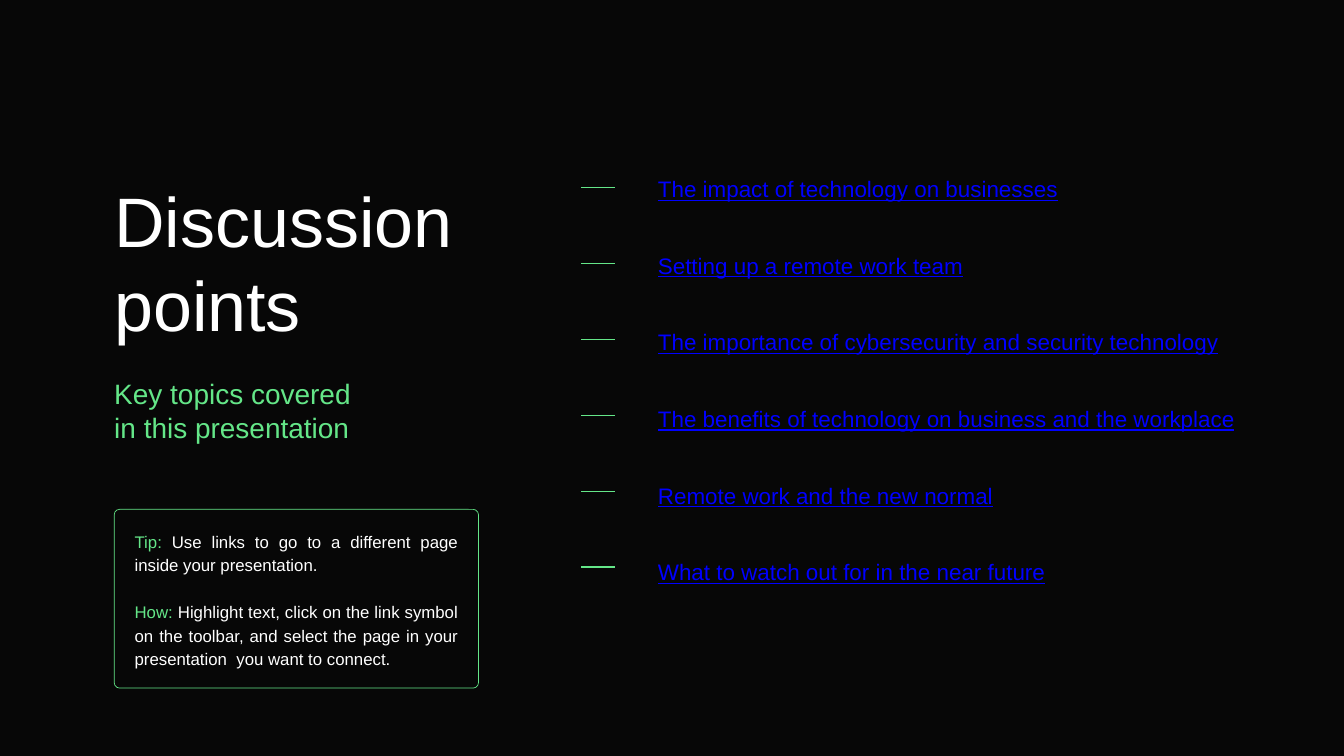
from lxml import etree
from pptx import Presentation
from pptx.dml.color import RGBColor
from pptx.enum.shapes import MSO_CONNECTOR, MSO_SHAPE
from pptx.enum.text import MSO_ANCHOR, MSO_AUTO_SIZE, PP_ALIGN
from pptx.oxml.ns import qn
from pptx.util import Inches, Pt

BLACK, WHITE, GREEN, BLUE = "070707", "FFFFFF", "64E688", "0000FF"
NO_STYLE = "{2D5ABB26-0587-4C30-8999-92F81FD0307C}"
TOPICS = [
    "The impact of technology on businesses",
    "Setting up a remote work team",
    "The importance of cybersecurity and security technology",
    "The benefits of technology on business and the workplace",
    "Remote work and the new normal",
    "What to watch out for in the near future",
]
ADVICE = [
    ("Tip:", " Use links to go to a different page inside your presentation. "),
    ("How: ", "Highlight text, click on the link symbol on the toolbar, and select "
              "the page in your presentation  you want to connect."),
]


def paint(color_format, color):
    color_format.rgb = RGBColor.from_string(color)


def prepare(frame, inset, anchor):
    frame.word_wrap = True
    frame.auto_size = MSO_AUTO_SIZE.NONE
    frame.vertical_anchor = anchor
    frame.margin_left = frame.margin_right = Inches(inset)
    frame.margin_top = frame.margin_bottom = Inches(inset)


def write(paragraph, runs, size, spacing, align=PP_ALIGN.LEFT, underline=False):
    paragraph.alignment = align
    paragraph.line_spacing = Pt(spacing)
    paragraph.space_before = Pt(0)
    for words, color in runs:
        run = paragraph.add_run()
        run.text = words
        run.font.name = "Arial"
        run.font.size = Pt(size)
        run.font.bold = False
        run.font.underline = underline
        paint(run.font.color, color)


def add_heading(placeholder, box, lines, color, size, spacing):
    left, top, width, height = map(Inches, box)
    placeholder.left, placeholder.top = left, top
    placeholder.width, placeholder.height = width, height
    frame = placeholder.text_frame
    prepare(frame, 0, MSO_ANCHOR.TOP)
    for index, line in enumerate(lines):
        paragraph = frame.add_paragraph() if index else frame.paragraphs[0]
        write(paragraph, [(line, color)], size, spacing)


def add_advice(slide, box):
    panel = slide.shapes.add_shape(MSO_SHAPE.ROUNDED_RECTANGLE, *map(Inches, box))
    panel.adjustments[0] = 0.03
    panel.shadow.inherit = False
    panel.fill.background()
    paint(panel.line.color, GREEN)
    panel.line.width = Pt(0.75)
    frame = panel.text_frame
    prepare(frame, 0.28, MSO_ANCHOR.MIDDLE)
    for index, (label, advice) in enumerate(ADVICE):
        paragraph = frame.add_paragraph() if index else frame.paragraphs[0]
        write(paragraph, [(label, GREEN), (advice, WHITE)], 18, 25.2, PP_ALIGN.JUSTIFY)
        if index:
            paragraph.space_before = Pt(25.2)


def add_dash(slide, left, top, length):
    dash = slide.shapes.add_connector(
        MSO_CONNECTOR.STRAIGHT, Inches(left), Inches(top), Inches(left + length), Inches(top))
    paint(dash.line.color, GREEN)
    dash.line.width = Pt(1.5)
    etree.SubElement(dash.element.spPr, qn("a:effectLst"))


def add_topics(slide, box):
    left, top, width, height = box
    for index in range(len(TOPICS)):
        add_dash(slide, left, top + 0.58 + index * 1.13, 0.5)

    table_left = left + 0.93
    topics = slide.shapes.add_table(
        len(TOPICS), 1, Inches(table_left), Inches(top),
        Inches(width - 0.93), Inches(height)).table
    topics.first_row = topics.horz_banding = False
    topics._tbl.tblPr.find(qn("a:tableStyleId")).text = NO_STYLE
    for index, topic in enumerate(TOPICS):
        cell = topics.cell(index, 0)
        cell.fill.background()
        cell.vertical_anchor = MSO_ANCHOR.MIDDLE
        cell.margin_left = cell.margin_right = Inches(0.21)
        cell.margin_top = cell.margin_bottom = Inches(0.21)
        write(cell.text_frame.paragraphs[0], [(topic, BLUE)], 24, 33.6, underline=True)


def main():
    deck = Presentation()
    deck.slide_width, deck.slide_height = Inches(20), Inches(11.25)
    slide = deck.slides.add_slide(deck.slide_layouts[0])
    slide.background.fill.solid()
    paint(slide.background.fill.fore_color, BLACK)

    title, subtitle = slide.placeholders
    add_heading(title, (1.7, 2.64, 6.16, 2.51), ["Discussion points"], WHITE, 75, 90)
    add_heading(subtitle, (1.7, 5.61, 6.16, 1.01),
                ["Key topics covered", "in this presentation"], GREEN, 30, 36)
    add_advice(slide, (1.7, 7.58, 5.42, 2.66))
    add_topics(slide, (8.65, 2.21, 9.98, 6.84))
    deck.save("out.pptx")


if __name__ == "__main__":
    main()
